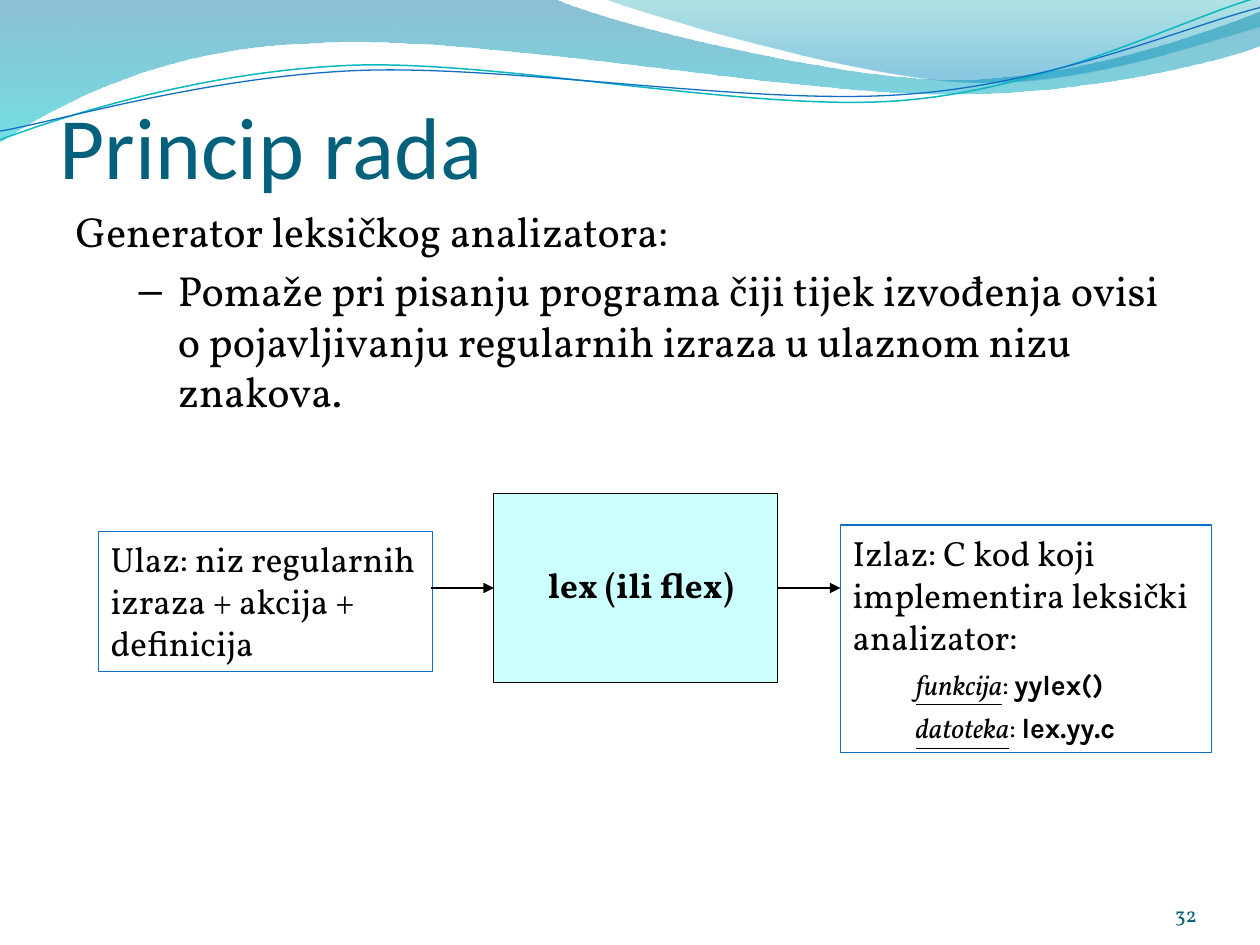
from lxml import etree
from pptx import Presentation
from pptx import util as u
from pptx.dml.color import RGBColor
from pptx.enum import shapes, text
from pptx.oxml.ns import qn

BLACK = RGBColor(0x00, 0x00, 0x00)
BLUE = RGBColor(0x0F, 0x6F, 0xC6)
TEAL = RGBColor(0x0A, 0xB8, 0xBF)
TITLE = RGBColor(0x04, 0x61, 0x7B)
NUMBER = RGBColor(0x04, 0x5D, 0x75)
CYAN = RGBColor(0xCC, 0xFF, 0xFF)
SERIF, SANS, HEAD = "Vollkorn", "Karla", "Calibri"

# Gradient stops: position, colour, opacity in percent
BAND_FILL = [(0, RGBColor(0x00, 0x74, 0xA1), 45), (1, RGBColor(0x00, 0xC6, 0xCF), 55)]
CREST_FILL = [(0, RGBColor(0x00, 0xA1, 0xA9), 30), (0.8, RGBColor(0x00, 0x8B, 0xBF), 45)]

# Outlines: a start point, then segments of one point (line) or three (curve)
BAND = [[(0, 0)], [(316.8, -0.7)],
        [(342.7, 12.2), (478.1, 45.4), (545.8, 45.4)],
        [(614.2, 45.4), (689.8, 18.7), (720, 6.5)], [(720.7, 25.9)],
        [(707.8, 31.7), (626.4, 54.7), (537.1, 54)],
        [(447.8, 53.3), (275, 20.2), (185, 24.5)],
        [(92.9, 25.9), (33.1, 59.8), (-0.7, 81.4)]]
CREST = [[(344.9, -0.7)],
         [(366.5, 7.9), (491, 44.6), (553.7, 46.8)],
         [(616.3, 49.7), (691.9, 23), (720, 15.1)], [(720, 0)]]
TEAL_WAVE = [[(0, 79.9)],
             [(34.6, 67), (113.8, 41), (199.4, 37.4)],
             [(284.4, 33.8), (427, 64.1), (513.4, 57.6)],
             [(599.8, 51.1), (675.4, 10.8), (718.6, -1.4)]]
BLUE_WAVE = [[(0, 74.9)],
             [(33.8, 69.1), (118.1, 43.9), (203.8, 40.3)],
             [(290.2, 36.7), (429.8, 60.5), (516.2, 54)],
             [(601.9, 48.2), (677.5, 15.1), (720, 4.3)]]


def place(sp, x, y, w, h):
    sp.left, sp.top, sp.width, sp.height = (u.Pt(v) for v in (x, y, w, h))


def add_run(p, words, size, font=SERIF, color=BLACK, bold=False, italic=False, underline=False):
    r = p.add_run()
    r.text = words
    f = r.font
    f.size, f.name, f.color.rgb = u.Pt(size), font, color
    f.bold, f.italic, f.underline = bold, italic, underline


def set_indent(p, left, first, bullet=None):
    pPr = p._p.get_or_add_pPr()
    pPr.set("marL", str(u.Pt(left)))
    pPr.set("indent", str(u.Pt(first)))
    if bullet:
        etree.SubElement(pPr, qn("a:buFont")).set("typeface", "Arial")
        etree.SubElement(pPr, qn("a:buChar")).set("char", bullet)
    else:
        etree.SubElement(pPr, qn("a:buNone"))


def set_frame(sp, anchor, insets=None, wrap=True):
    tf = sp.text_frame
    tf.word_wrap, tf.auto_size, tf.vertical_anchor = wrap, text.MSO_AUTO_SIZE.NONE, anchor
    if insets:
        tf.margin_left, tf.margin_top, tf.margin_right, tf.margin_bottom = map(u.Pt, insets)
    return tf


def add_outline(slide, x, y, segments, closed):
    points = [(u.Pt(x + px), u.Pt(y + py)) for seg in segments for px, py in seg]
    builder = slide.shapes.build_freeform(*points[0], scale=1.0)
    builder.add_line_segments(points[1:], close=closed)
    sp = builder.convert_to_shape()
    sp.shadow.inherit = False
    # Turn each run of three line points into one cubic curve
    lines = iter(list(sp._element.iter(qn("a:lnTo"))))
    for seg in segments[1:]:
        steps = [next(lines) for _ in seg]
        if len(seg) == 3:
            curve = etree.Element(qn("a:cubicBezTo"))
            steps[0].addprevious(curve)
            for step in steps:
                curve.append(step[0])
                step.getparent().remove(step)
    return sp


def add_waves(slide, x, y):
    parts = []
    # Shaded bands
    for segments, stops in ((BAND, BAND_FILL), (CREST, CREST_FILL)):
        sp = add_outline(slide, x, y, segments, True)
        sp.line.fill.background()
        sp.fill.gradient()
        sp.fill.gradient_angle = 270
        for stop, (position, color, _) in zip(sp.fill.gradient_stops, stops):
            stop.position, stop.color.rgb = position, color
        for clr, stop in zip(sp._element.spPr.iter(qn("a:srgbClr")), stops):
            etree.SubElement(clr, qn("a:alpha")).set("val", str(stop[2] * 1000))
        parts.append(sp)
    # Thin wave lines
    for segments, color, width in ((TEAL_WAVE, TEAL, 0.85), (BLUE_WAVE, BLUE, 0.75)):
        sp = add_outline(slide, x, y, segments, False)
        sp.fill.background()
        sp.line.color.rgb, sp.line.width = color, u.Pt(width)
        parts.append(sp)
    # Send behind the placeholders
    for i, sp in enumerate(parts):
        slide.shapes._spTree.insert(2 + i, sp._element)


def fill_title(slide, x, y, w, h):
    sp = slide.shapes.title
    place(sp, x, y, w, h)
    p = set_frame(sp, text.MSO_ANCHOR.BOTTOM, (0, 3.6, 0, 0)).paragraphs[0]
    p.alignment = text.PP_ALIGN.LEFT
    add_run(p, "Princip rada", 50, HEAD, TITLE)


def fill_body(slide, x, y, w, h):
    sp = slide.placeholders[1]
    place(sp, x, y, w, h)
    tf = set_frame(sp, text.MSO_ANCHOR.TOP)
    p = tf.paragraphs[0]
    p.space_before = u.Pt(0)
    set_indent(p, 27, -27)
    add_run(p, "Generator leksičkog analizatora:", 24)
    p = tf.add_paragraph()
    p.level, p.space_before = 1, u.Pt(4.8)
    set_indent(p, 58.5, -22.5, "–")
    add_run(p, "Pomaže pri pisanju programa čiji tijek izvođenja ovisi o "
               "pojavljivanju regularnih izraza u ulaznom nizu znakova.", 24)


def add_box(slide, x, y, w, h, line, fill=None):
    sp = slide.shapes.add_shape(shapes.MSO_SHAPE.RECTANGLE, 0, 0, 0, 0)
    place(sp, x, y, w, h)
    sp.shadow.inherit = False
    sp.line.color.rgb, sp.line.width = line, u.Pt(0.75)
    if fill is None:
        sp.fill.background()
    else:
        sp.fill.solid()
        sp.fill.fore_color.rgb = fill
    tf = set_frame(sp, text.MSO_ANCHOR.TOP)
    tf.paragraphs[0].alignment = text.PP_ALIGN.LEFT
    return tf


def add_arrow(slide, x, y, length):
    c = slide.shapes.add_connector(shapes.MSO_CONNECTOR.STRAIGHT,
                                   u.Pt(x), u.Pt(y), u.Pt(x + length), u.Pt(y))
    c.line.color.rgb, c.line.width = BLACK, u.Pt(0.75)
    etree.SubElement(c.line._get_or_add_ln(), qn("a:tailEnd")).set("type", "triangle")
    etree.SubElement(c._element.spPr, qn("a:effectLst"))


def add_flow(slide, x, y):
    # Input
    tf = add_box(slide, x, y + 21.6, 191, 80, BLUE)
    add_run(tf.paragraphs[0], "Ulaz: niz regularnih izraza + akcija + definicija", 20)
    # Output
    tf = add_box(slide, x + 424, y + 18, 212, 130, BLUE)
    add_run(tf.paragraphs[0], "Izlaz: C kod koji implementira leksički analizator:", 20)
    for label, name in (("funkcija", "yylex()"), ("datoteka", "lex.yy.c")):
        p = tf.add_paragraph()
        p.level, p.line_spacing, p.alignment = 1, 1.3, text.PP_ALIGN.LEFT
        set_indent(p, 36, 0)
        add_run(p, label, 16, italic=True, underline=True)
        add_run(p, ": ", 16)
        add_run(p, name, 16, SANS, bold=True)
    # Arrows into and out of the generator
    for offset in (190, 388):
        add_arrow(slide, x + offset, y + 54, 36)
    # Generator
    add_box(slide, x + 226, y, 162, 108, BLACK, CYAN)
    sp = slide.shapes.add_textbox(0, 0, 0, 0)
    place(sp, x + 250, y + 36, 127.4, 31.7)
    tf = set_frame(sp, text.MSO_ANCHOR.MIDDLE, wrap=False)
    add_run(tf.paragraphs[0], "lex (ili flex)", 20, bold=True)


def add_number(slide, x, y, w, h):
    sp = slide.shapes.add_textbox(0, 0, 0, 0)
    place(sp, x, y, w, h)
    p = set_frame(sp, text.MSO_ANCHOR.BOTTOM, (0, 0, 0, 0)).paragraphs[0]
    p.alignment = text.PP_ALIGN.RIGHT
    add_run(p, "32", 12, color=NUMBER)


def main():
    prs = Presentation()
    prs.slide_width, prs.slide_height = u.Pt(720), u.Pt(540)
    slide = prs.slides.add_slide(prs.slide_layouts[1])
    add_waves(slide, 0, 0)
    fill_title(slide, 34, 22.5, 648, 90)
    fill_body(slide, 36, 114, 648, 369)
    add_flow(slide, 56.2, 282)
    add_number(slide, 624, 500.5, 60, 28.8)
    prs.save("out.pptx")


if __name__ == "__main__":
    main()
